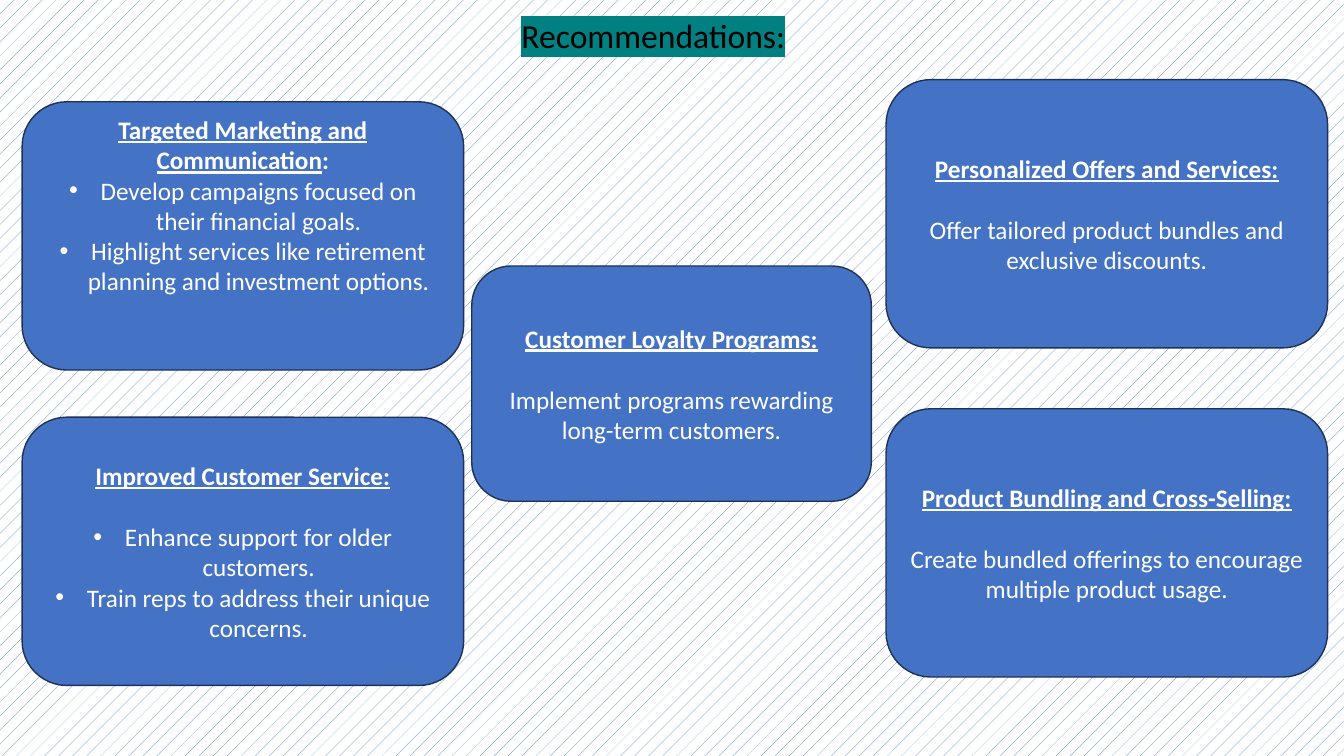
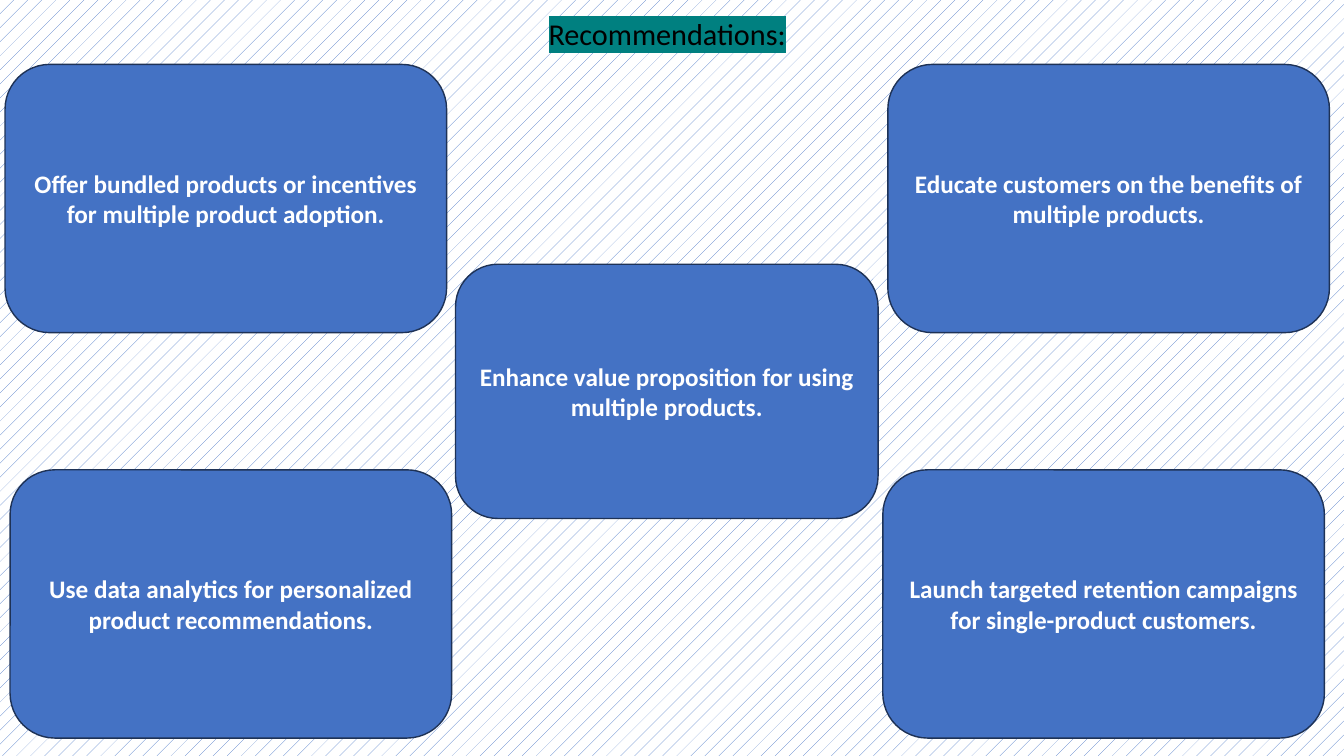
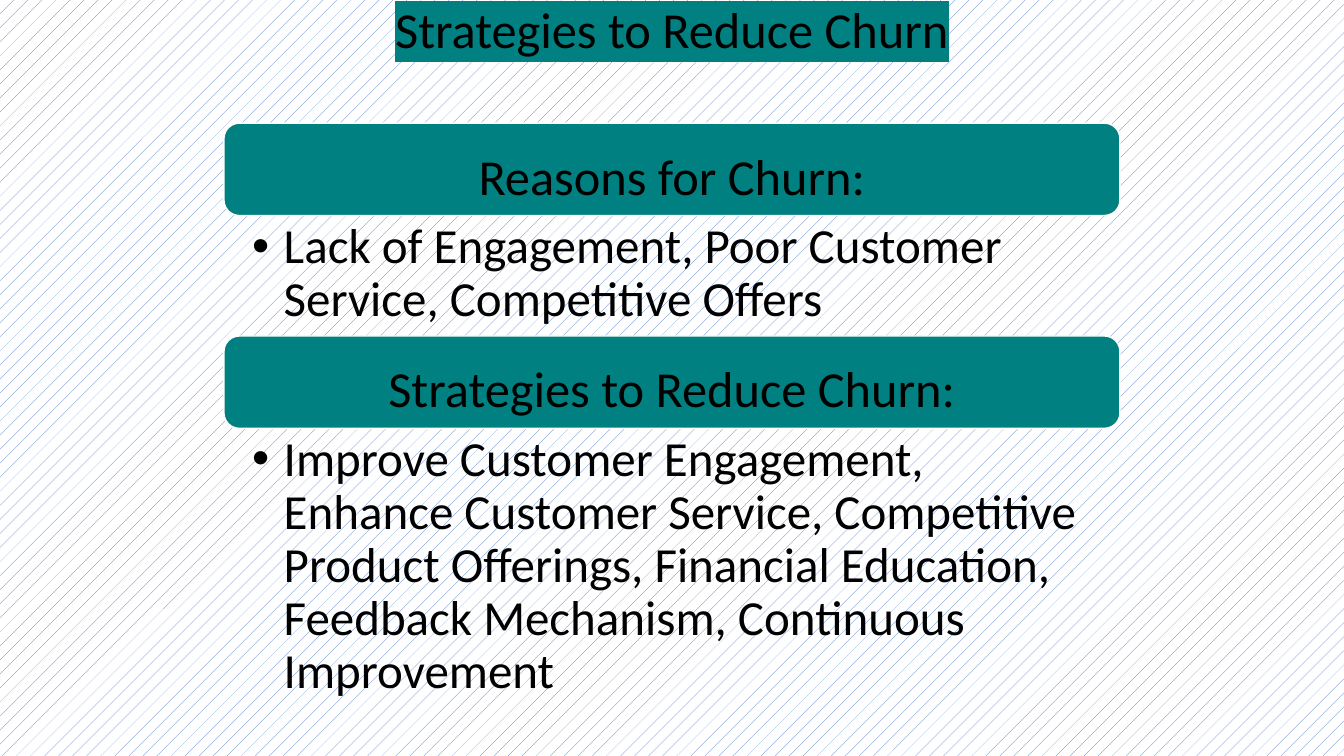
from lxml import etree
from pptx import Presentation
from pptx.dml.color import RGBColor
from pptx.enum.dml import MSO_PATTERN
from pptx.enum.shapes import MSO_SHAPE
from pptx.enum.text import MSO_ANCHOR, MSO_AUTO_SIZE, PP_ALIGN
from pptx.oxml.ns import qn
from pptx.util import Pt

ROUNDED = MSO_SHAPE.ROUNDED_RECTANGLE
TOP, MIDDLE, BOTTOM = MSO_ANCHOR.TOP, MSO_ANCHOR.MIDDLE, MSO_ANCHOR.BOTTOM
LEFT, CENTER = PP_ALIGN.LEFT, PP_ALIGN.CENTER
DOTS = MSO_PATTERN.PERCENT_5
NO_AUTOFIT = MSO_AUTO_SIZE.NONE

BLUE = RGBColor(0x44, 0x72, 0xC4)
NAVY = RGBColor(0x1E, 0x32, 0x56)
TEAL = RGBColor(0x00, 0x80, 0x80)
WHITE = RGBColor(0xFF, 0xFF, 0xFF)
BLACK = RGBColor(0x00, 0x00, 0x00)

FONT = "Calibri"
CARD_SIZE = (315.4, 191.6)
CARD_TEXT = 18
BLANK_LINE = 22
BULLET_INDENT = 22.5


class Deck:
    """Holds the shared style and the current slide."""

    def __init__(self):
        self.presentation = Presentation()
        self.presentation.slide_width = Pt(960)
        self.presentation.slide_height = Pt(540)
        self.slide = None
        background = self.presentation.slide_master.background.fill
        background.patterned()
        background.pattern = DOTS
        background.fore_color.rgb = BLUE
        background.back_color.rgb = WHITE

    def add_slide(self, title, left, top, width, height, size):
        """Start a slide with a highlighted title."""
        layout = self.presentation.slide_layouts[5]
        self.slide = self.presentation.slides.add_slide(layout)
        shape = self.slide.shapes.title
        shape.left, shape.top = Pt(left), Pt(top)
        shape.width, shape.height = Pt(width), Pt(height)
        frame = shape.text_frame
        frame.auto_size = NO_AUTOFIT
        frame.vertical_anchor = TOP
        paragraph = frame.paragraphs[0]
        self.set_text(paragraph, title, size, BLACK)
        paragraph.line_spacing = 0.9
        properties = paragraph.runs[0].font._element
        highlight = etree.SubElement(properties, qn("a:highlight"))
        etree.SubElement(highlight, qn("a:srgbClr"), val=str(TEAL))

    def set_text(self, paragraph, text, size, color, bold=False, align=CENTER):
        paragraph.add_run().text = text
        paragraph.alignment = align
        font = paragraph.font
        font.name, font.size, font.bold = FONT, Pt(size), bold
        font.color.rgb = color

    def bullet(self, paragraph):
        """Give a paragraph a hanging round bullet."""
        properties = paragraph._p.get_or_add_pPr()
        properties.set("marL", str(Pt(BULLET_INDENT)))
        properties.set("indent", str(-Pt(BULLET_INDENT)))
        character = etree.Element(qn("a:buChar"), char="•")
        typeface = etree.Element(qn("a:buFont"), typeface="Arial")
        defaults = properties.find(qn("a:defRPr"))
        defaults.addprevious(typeface)
        defaults.addprevious(character)

    def rounded_box(self, left, top, width, height, fill, line):
        shape = self.slide.shapes.add_shape(
            ROUNDED, Pt(left), Pt(top), Pt(width), Pt(height))
        shape.shadow.inherit = False
        shape.fill.solid()
        shape.fill.fore_color.rgb = fill
        shape.line.color.rgb = line
        shape.line.width = Pt(1)
        shape.text_frame.word_wrap = True
        return shape.text_frame

    def card(self, left, top, heading, lines=(), size=CARD_SIZE,
             bulleted=False, gap=BLANK_LINE, space_below=0, plain_end=""):
        """Blue card: bold heading, underlined when text follows it."""
        frame = self.rounded_box(left, top, *size, BLUE, NAVY)
        frame.vertical_anchor = MIDDLE
        frame.margin_bottom = Pt(3.6 + space_below)
        paragraph = frame.paragraphs[0]
        self.set_text(paragraph, heading, CARD_TEXT, WHITE, bold=True)
        if lines:
            paragraph.runs[0].font.underline = True
            paragraph.space_after = Pt(gap)
        if plain_end:
            paragraph.add_run().text = plain_end
        for line in lines:
            paragraph = frame.add_paragraph()
            self.set_text(paragraph, line, CARD_TEXT, WHITE)
            if bulleted:
                self.bullet(paragraph)

    def band(self, left, top, width, height, text):
        """Teal header band."""
        frame = self.rounded_box(left, top, width, height, TEAL, WHITE)
        frame.vertical_anchor = BOTTOM
        paragraph = frame.paragraphs[0]
        self.set_text(paragraph, text, 36, BLACK)
        paragraph.line_spacing = 0.9

    def bullet_text(self, left, top, width, height, text):
        """Large bulleted text below a band."""
        box = self.slide.shapes.add_textbox(
            Pt(left), Pt(top), Pt(width), Pt(height))
        frame = box.text_frame
        frame.word_wrap = True
        frame.margin_left, frame.margin_right = Pt(20.2), Pt(25.2)
        frame.margin_top = frame.margin_bottom = Pt(4.3)
        paragraph = frame.paragraphs[0]
        self.set_text(paragraph, text, 35, BLACK, align=LEFT)
        paragraph.line_spacing = 0.9
        self.bullet(paragraph)


def main():
    deck = Deck()

    # Recommendations with details
    deck.add_slide("Recommendations:", 363, 10, 207.4, 86, 24)
    deck.card(15.8, 72.7, "Targeted Marketing and Communication",
              ["Develop campaigns focused on their financial goals.",
               "Highlight services like retirement planning and "
               "investment options."],
              bulleted=True, gap=0, space_below=2 * BLANK_LINE, plain_end=":")
    deck.card(632.9, 56.9, "Personalized Offers and Services:",
              ["Offer tailored product bundles and exclusive discounts."])
    deck.card(15.8, 298, "Improved Customer Service:",
              ["Enhance support for older customers.",
               "Train reps to address their unique concerns."], bulleted=True)
    deck.card(632.9, 292, "Product Bundling and Cross-Selling:",
              ["Create bundled offerings to encourage multiple product usage."])
    deck.card(337, 190, "Customer Loyalty Programs:",
              ["Implement programs rewarding long-term customers."],
              size=(285.4, 168))

    # Recommendations in short
    deck.add_slide("Recommendations:", 332.6, 10, 288, 81, 21.6)
    deck.card(3.6, 46, "Offer bundled products or incentives for multiple "
              "product adoption.")
    deck.card(325.4, 188.8, "Enhance value proposition for using multiple "
              "products.", size=(301.8, 181.6))
    deck.card(7.2, 335.6, "Use data analytics for personalized product "
              "recommendations.")
    deck.card(630.6, 335.6, "Launch targeted retention campaigns for "
              "single-product customers.")
    deck.card(634.2, 46, "Educate customers on the benefits of multiple "
              "products.")

    # Churn: bands and bulleted texts stacked without gaps
    deck.add_slide("Strategies to Reduce Churn", 126, 0, 708, 48, 36)
    left, top, width, band_height = 160, 88, 640, 66
    sections = [
        ("Reasons for Churn:", 86,
         "Lack of Engagement, Poor Customer Service, Competitive Offers"),
        ("Strategies to Reduce Churn:", 202,
         "Improve Customer Engagement, Enhance Customer Service, "
         "Competitive Product Offerings, Financial Education, "
         "Feedback Mechanism, Continuous Improvement"),
    ]
    for heading, text_height, text in sections:
        deck.band(left, top, width, band_height, heading)
        top += band_height
        deck.bullet_text(left, top, width, text_height, text)
        top += text_height

    deck.presentation.save("out.pptx")


if __name__ == "__main__":
    main()
